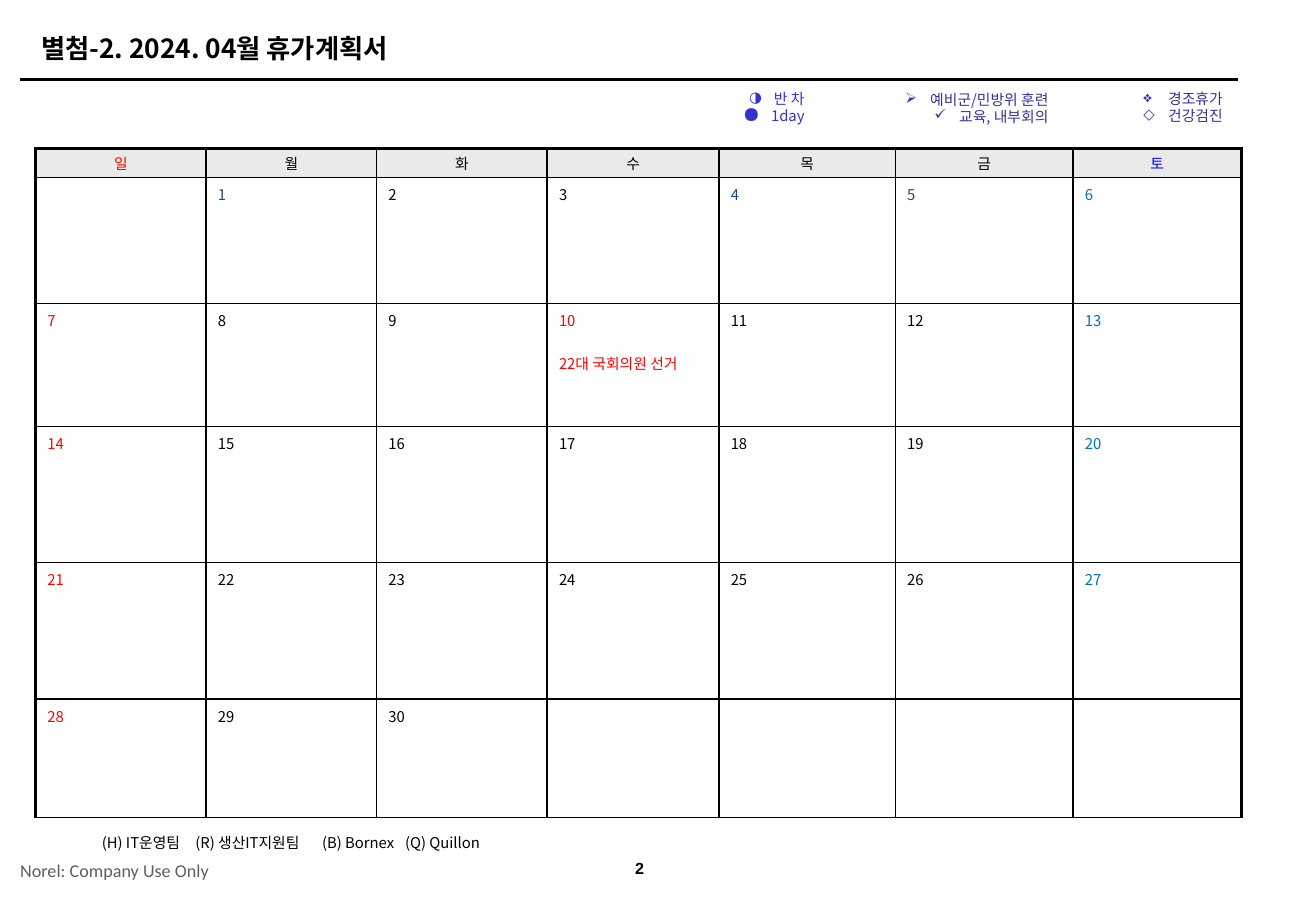
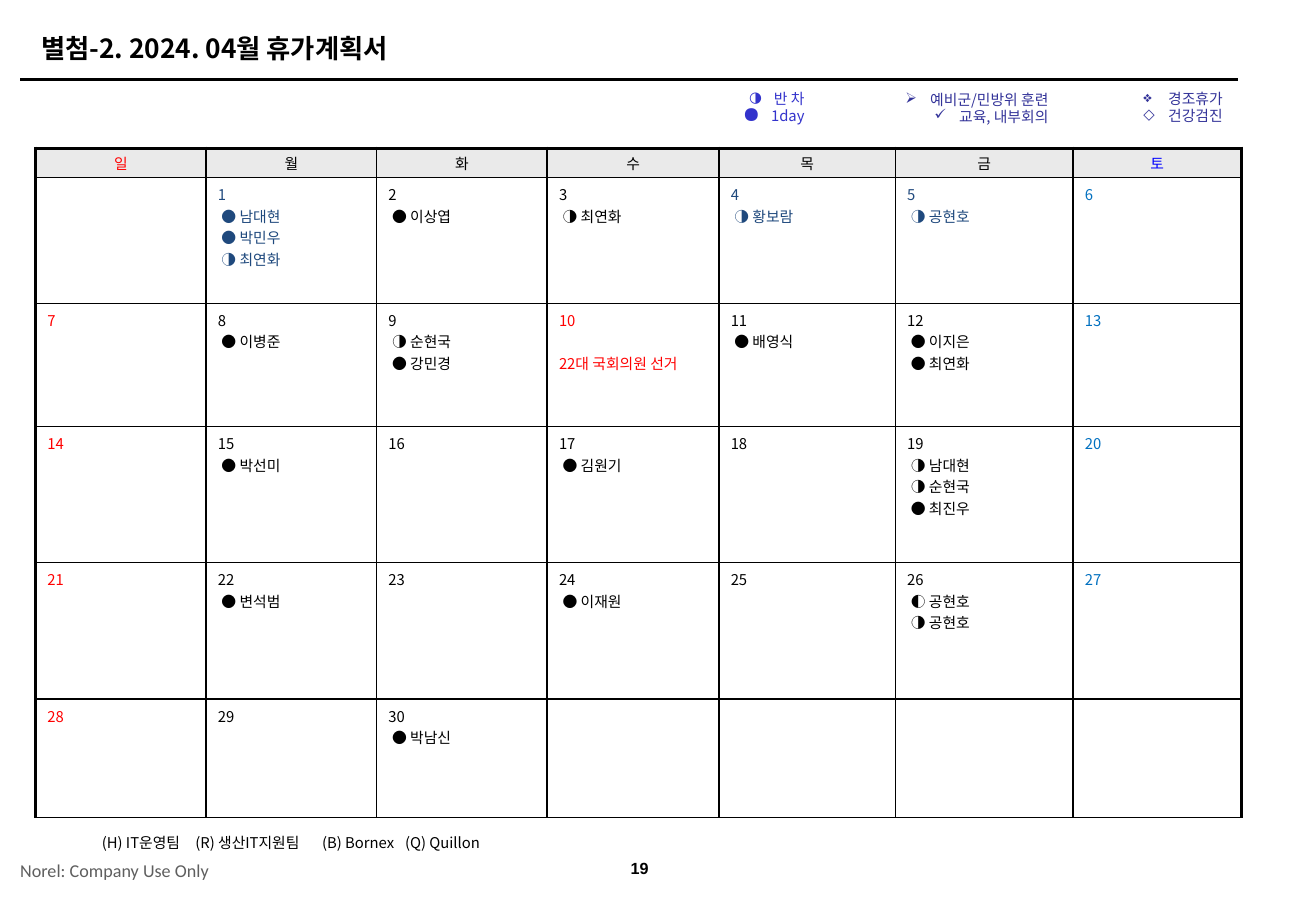
from dataclasses import dataclass

from lxml import etree
from pptx import Presentation
from pptx.dml.color import RGBColor
from pptx.enum import shapes, text
from pptx.oxml import ns
from pptx.util import Inches, Pt


@dataclass(frozen=True)
class Theme:
    font: str = "Noto Sans CJK KR"
    number_font: str = "Arial"
    footer_font: str = "Calibri"
    black: str = "000000"
    red: str = "FF0000"
    navy: str = "1F497D"
    saturday: str = "0070C0"
    saturday_head: str = "0000FF"
    legend_blue: str = "3333CC"
    legend_indigo: str = "333399"
    grey: str = "5F5F5F"
    header_fill: str = "EAEAEA"
    title_size: float = 16
    body_size: float = 9
    number_size: float = 9.8
    footer_size: float = 11
    line_pitch: float = 13
    thin: float = 1
    thick: float = 2


THEME = Theme()

TITLE = "별첨-2. 2024. 04월 휴가계획서"
FOOTER = "Norel: Company Use Only"
TEAMS = ["(H) IT운영팀", "(R) 생산IT지원팀", "(B) Bornex", "(Q) Quillon"]
TEAM_TABS = [0.79, 1.86, 2.56]

# Each legend: box, right inset, wrap, colour, items (bullet, text, hanging indent, bullet size %)
LEGENDS = [
    ((6.17, 0.72, 0.72, 0.4), 0.1, False, THEME.legend_blue,
     [("◑", "반 차", 0.21, 100), ("●", "1day", 0.24, 150)]),
    ((7.41, 0.73, 1.58, 0.39), 0.14, True, THEME.legend_indigo,
     [("➢", "예비군/민방위 훈련", 0.21, 100), ("✓", "교육, 내부회의", 0.21, 100)]),
    ((8.59, 0.72, 1.83, 0.39), 0.1, True, THEME.legend_indigo,
     [("❖", "경조휴가", 0.21, 100), ("◇", "건강검진", 0.21, 100)]),
]

WEEKDAYS = "일월화수목금토"
FIRST_COLUMN = 1
DAYS_IN_MONTH = 30
COLUMN_WIDTHS = [1.44, 1.44, 1.44, 1.45, 1.49, 1.5, 1.42]
ROW_HEIGHTS = [0.25, 1.06, 1.04, 1.15, 1.15, 1]
HOLIDAYS = {10: "22대 국회의원 선거"}
NAVY_DAYS = {1, 4, 5}
LEAVES = {
    1: ["● 남대현", "● 박민우", "◑ 최연화"],
    2: ["● 이상엽"],
    3: ["◑ 최연화"],
    4: ["◑ 황보람"],
    5: ["◑ 공현호"],
    8: ["● 이병준"],
    9: ["◑ 순현국", "● 강민경"],
    11: ["● 배영식"],
    12: ["● 이지은", "● 최연화"],
    15: ["● 박선미"],
    17: ["● 김원기"],
    19: ["◑ 남대현", "◑ 순현국", "● 최진우"],
    22: ["● 변석범"],
    24: ["● 이재원"],
    26: ["◐ 공현호", "◑ 공현호"],
    30: ["● 박남신"],
}
PAGES = [("2", {}), ("19", LEAVES)]


def add_element(parent, tag, **attributes):
    element = etree.SubElement(parent, ns.qn(tag))
    for name, value in attributes.items():
        element.set(name, str(value))
    return element


def write(paragraph, words, color=THEME.black, size=THEME.body_size, font=THEME.font, bold=False):
    paragraph.text = words
    for run in paragraph.runs:
        run.font.name = font
        run.font.size = Pt(size)
        run.font.bold = bold
        run.font.color.rgb = RGBColor.from_string(color)
        add_element(run.font._element, "a:ea", typeface=font)


def add_box(slide, box, anchor=text.MSO_ANCHOR.MIDDLE, wrap=True):
    frame = slide.shapes.add_textbox(*map(Inches, box)).text_frame
    frame.word_wrap = wrap
    frame.vertical_anchor = anchor
    return frame


def add_legend(slide, box, right_inset, wrap, color, items):
    frame = add_box(slide, box, text.MSO_ANCHOR.TOP, wrap)
    frame.margin_right = Inches(right_inset)
    for index, (bullet, words, hang, bullet_size) in enumerate(items):
        paragraph = frame.add_paragraph() if index else frame.paragraphs[0]
        paragraph.alignment = text.PP_ALIGN.RIGHT
        paragraph.line_spacing = 0.95
        properties = paragraph._p.get_or_add_pPr()
        properties.set("marL", str(Inches(hang)))
        properties.set("indent", str(-Inches(hang)))
        bullet_color = add_element(properties, "a:buClr")
        add_element(bullet_color, "a:srgbClr", val=color)
        add_element(properties, "a:buSzPct", val=bullet_size * 1000)
        add_element(properties, "a:buChar", char=bullet)
        write(paragraph, words, color)


def add_frame(slide, page_number):
    """Add the title, rule, legends and footers that every page shares."""
    write(add_box(slide, (0.25, 0.22, 9.9, 0.37)).paragraphs[0], TITLE,
          size=THEME.title_size, bold=True)

    rule = slide.shapes.add_connector(shapes.MSO_CONNECTOR.STRAIGHT, Inches(0.17), Inches(0.67),
                                      Inches(10.45), Inches(0.67))
    rule.line.width = Pt(1.5)
    rule.line.color.rgb = RGBColor.from_string(THEME.black)
    add_element(rule._element.spPr, "a:effectLst")

    for legend in LEGENDS:
        add_legend(slide, *legend)

    teams = add_box(slide, (0.79, 7, 3.37, 0.24))
    teams.margin_left, teams.margin_right = Inches(0.07), 0
    paragraph = teams.paragraphs[0]
    paragraph.line_spacing = 0.95
    tabs = add_element(paragraph._p.get_or_add_pPr(), "a:tabLst")
    for position in TEAM_TABS:
        add_element(tabs, "a:tab", pos=Inches(position), algn="l")
    write(paragraph, "\t".join(TEAMS))

    number = add_box(slide, (5.13, 7.17, 0.54, 0.31), wrap=False).paragraphs[0]
    number.alignment = text.PP_ALIGN.CENTER
    write(number, page_number, size=THEME.number_size, font=THEME.number_font, bold=True)

    footer = add_box(slide, (0, 7.19, 1.92, 0.31))
    footer.margin_left = Inches(0.17)
    footer.margin_right = footer.margin_top = footer.margin_bottom = 0
    write(footer.paragraphs[0], FOOTER, THEME.grey, THEME.footer_size, THEME.footer_font)


def set_borders(cell, row, column):
    last_column = len(COLUMN_WIDTHS) - 1
    outer_edges = {"L": column == 0, "R": column == last_column, "T": row == 0, "B": False}
    properties = cell._tc.get_or_add_tcPr()
    for position, (side, outer) in enumerate(outer_edges.items()):
        width = THEME.thick if outer else THEME.thin
        line = etree.Element(ns.qn(f"a:ln{side}"), w=str(Pt(width)))
        add_element(add_element(line, "a:solidFill"), "a:srgbClr", val=THEME.black)
        properties.insert(position, line)


def day_color(day, column):
    if column == 0 or day in HOLIDAYS:
        return THEME.red
    if column == len(WEEKDAYS) - 1:
        return THEME.saturday
    return THEME.navy if day in NAVY_DAYS else THEME.black


def fill_header(cell, column):
    cell.fill.solid()
    cell.fill.fore_color.rgb = RGBColor.from_string(THEME.header_fill)
    cell.vertical_anchor = text.MSO_ANCHOR.MIDDLE
    cell.margin_top = cell.margin_bottom = Inches(0.03)
    paragraph = cell.text_frame.paragraphs[0]
    paragraph.alignment = text.PP_ALIGN.CENTER
    colors = {0: THEME.red, len(WEEKDAYS) - 1: THEME.saturday_head}
    write(paragraph, WEEKDAYS[column], colors.get(column, THEME.black))


def fill_day(cell, day, column, leaves):
    cell.fill.background()
    if not 1 <= day <= DAYS_IN_MONTH:
        return
    color = day_color(day, column)
    frame = cell.text_frame
    write(frame.paragraphs[0], str(day), color)
    if day in HOLIDAYS:
        paragraph = frame.add_paragraph()
        paragraph.space_before = Pt(THEME.line_pitch)
        write(paragraph, HOLIDAYS[day], color)
    for leave in leaves.get(day, []):
        paragraph = frame.add_paragraph()
        paragraph._p.get_or_add_pPr().set("marL", str(Inches(0.03)))
        write(paragraph, leave, color)


def add_calendar(slide, leaves):
    graphic = slide.shapes.add_table(len(ROW_HEIGHTS), len(COLUMN_WIDTHS), Inches(0.3), Inches(1.25),
                                     Inches(sum(COLUMN_WIDTHS)), Inches(sum(ROW_HEIGHTS)))
    table = graphic.table
    table.first_row = table.horz_banding = False
    for column, width in zip(table.columns, COLUMN_WIDTHS):
        column.width = Inches(width)
    for row, height in zip(table.rows, ROW_HEIGHTS):
        row.height = Inches(height)
    for index, cell in enumerate(table.iter_cells()):
        row, column = divmod(index, len(COLUMN_WIDTHS))
        if row == 0:
            fill_header(cell, column)
        else:
            day = (row - 1) * len(WEEKDAYS) + column - FIRST_COLUMN + 1
            fill_day(cell, day, column, leaves)
        set_borders(cell, row, column)


def main():
    presentation = Presentation()
    presentation.slide_width = Inches(11.11)
    presentation.slide_height = Inches(7.57)
    for page_number, leaves in PAGES:
        slide = presentation.slides.add_slide(presentation.slide_layouts[6])
        add_calendar(slide, leaves)
        add_frame(slide, page_number)
    presentation.save("out.pptx")


if __name__ == "__main__":
    main()
